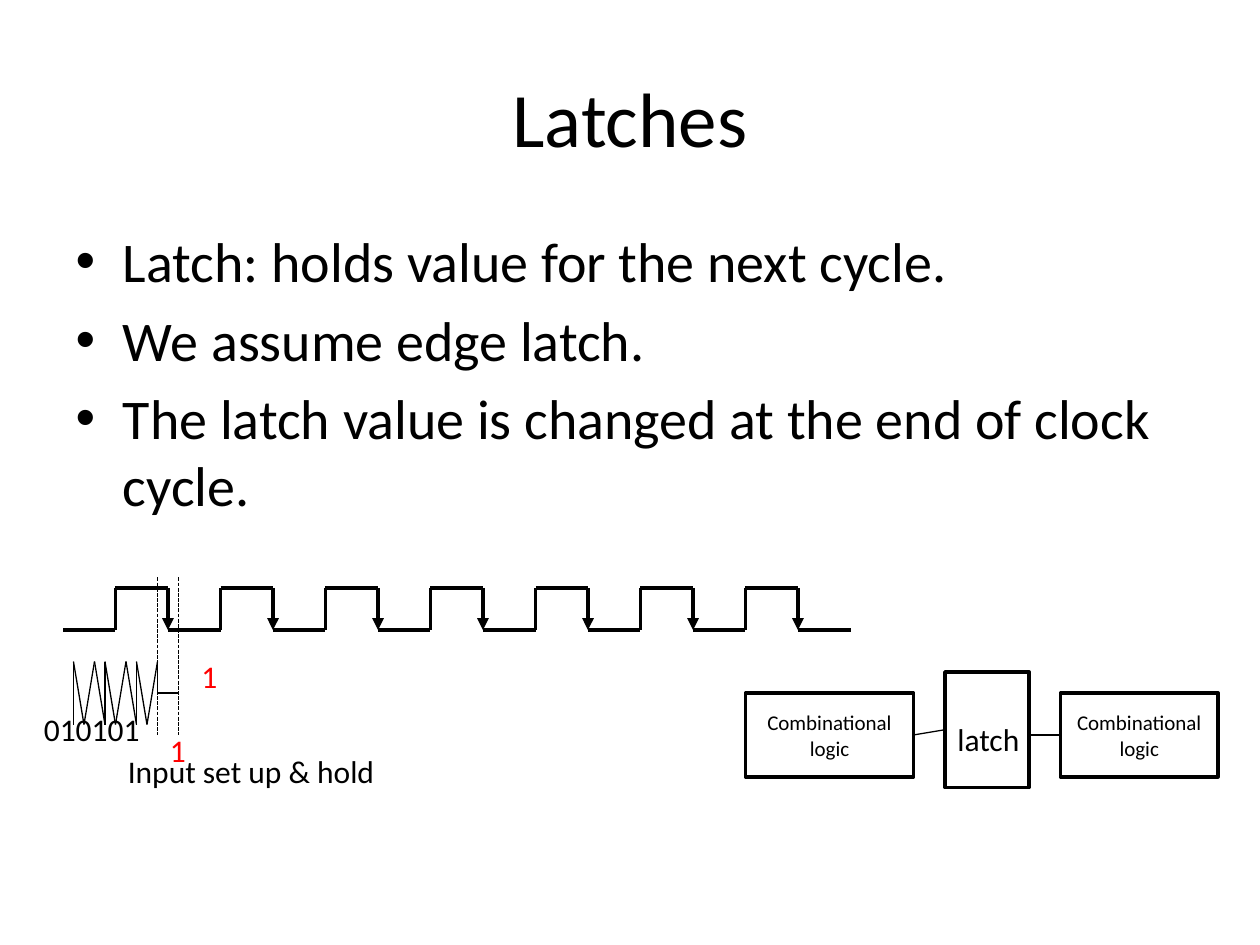
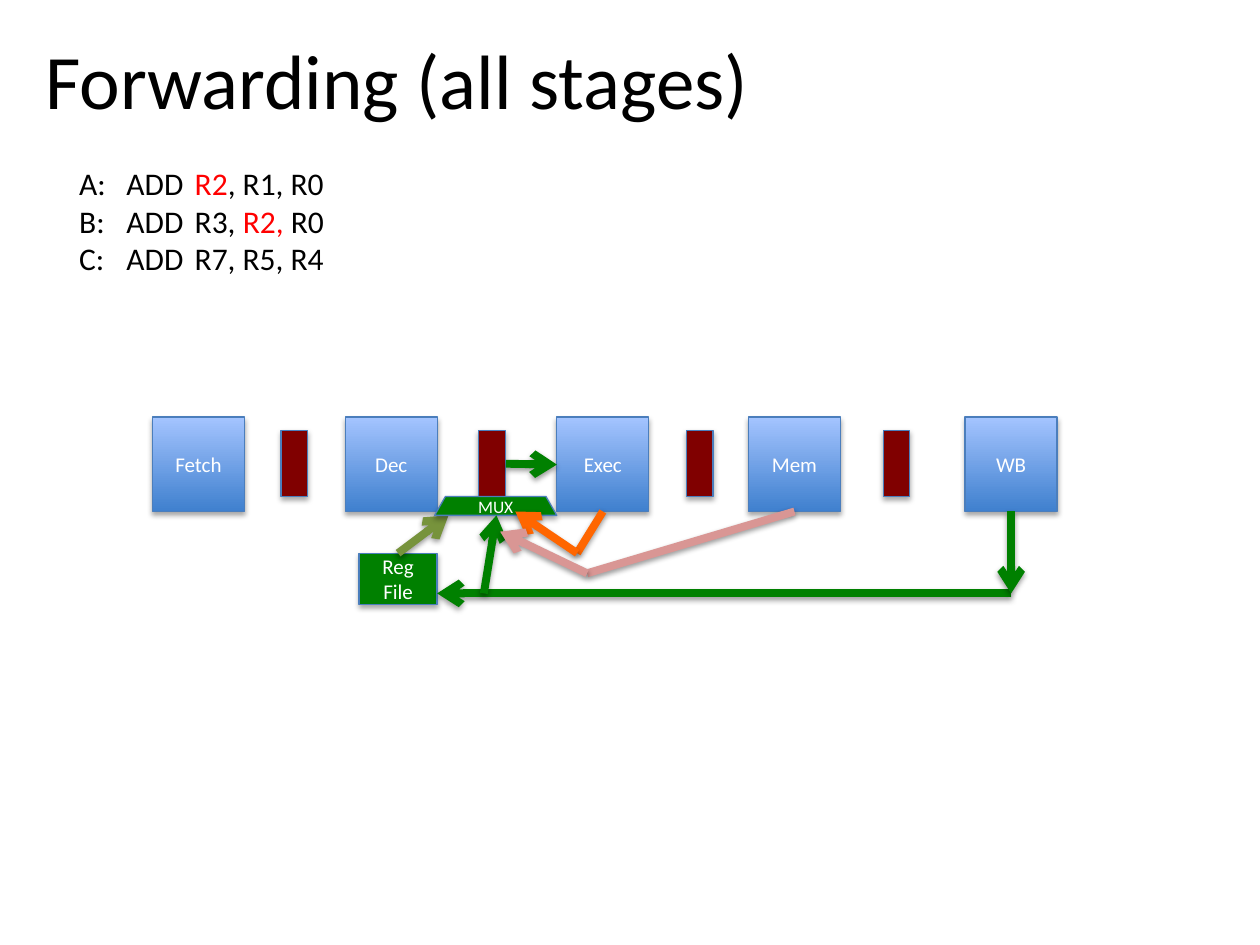
from itertools import pairwise
from pptx import Presentation
from pptx.dml.color import RGBColor
from pptx.enum.dml import MSO_LINE
from pptx.enum.shapes import MSO_CONNECTOR, MSO_SHAPE
from pptx.enum.text import MSO_ANCHOR, MSO_AUTO_SIZE, PP_ALIGN
from pptx.util import Pt
from lxml.etree import SubElement

COLORS = {
    "black": "000000", "white": "FFFFFF", "red": "FF0000",
    "stage_dark": "3F80CE", "stage_light": "A4C4FF", "edge": "4B7EBC",
    "register": "800000", "green": "008000", "olive": "77933C",
    "orange": "FF6600", "pink": "D99694",
}
FONT = "Calibri"
DRAWING = "{http://schemas.openxmlformats.org/drawingml/2006/main}"


def color(name):
    """Return a named colour as RGBColor."""
    return RGBColor.from_string(COLORS[name])


def add_shadow(effects, alpha, distance):
    """Put a soft downward shadow in an effect list; alpha is a percentage."""
    shadow = SubElement(effects, DRAWING + "outerShdw", blurRad=str(Pt(3.1)),
                        dist=str(Pt(distance)), dir="5400000", rotWithShape="0")
    base = SubElement(shadow, DRAWING + "srgbClr", val=COLORS["black"])
    SubElement(base, DRAWING + "alpha", val=str(alpha * 1000))


class Painter:
    """Holds the deck, its style and the current page."""

    def __init__(self):
        """Open a 10 by 7.5 inch deck."""
        self.deck = Presentation()
        self.deck.slide_width, self.deck.slide_height = Pt(720), Pt(540)
        self.page = None

    def new_page(self, layout, title, place, align):
        """Start a page and set its title."""
        self.page = self.deck.slides.add_slide(self.deck.slide_layouts[layout])
        box = self.page.shapes.title
        self.put(box, place)
        box.text_frame.vertical_anchor = MSO_ANCHOR.MIDDLE
        self.add_lines(box.text_frame, [[(title, "black")]], 44, align)

    def put(self, box, place):
        """Move and size a placeholder."""
        box.left, box.top, box.width, box.height = map(Pt, place)

    def add_lines(self, frame, lines, size, align=None):
        """Add lines of text, each a list of (text, colour) runs."""
        for index, line in enumerate(lines):
            para = frame.paragraphs[0] if index == 0 else frame.add_paragraph()
            para.alignment = align
            for text, ink in line:
                span = para.add_run()
                span.text = text
                span.font.name, span.font.size = FONT, Pt(size)
                span.font.color.rgb = color(ink)

    def bullets(self, place, items):
        """Fill the body placeholder with a bulleted list."""
        box = self.page.placeholders[1]
        self.put(box, place)
        self.add_lines(box.text_frame, [[(item, "black")] for item in items], 32)

    def label(self, place, lines, wrap=False, tabs=()):
        """Add an 18 point text box, with tab stops if any."""
        box = self.page.shapes.add_textbox(*map(Pt, place))
        frame = box.text_frame
        frame.word_wrap = wrap
        frame.auto_size = MSO_AUTO_SIZE.SHAPE_TO_FIT_TEXT
        self.add_lines(frame, lines, 18)
        for para in frame.paragraphs if tabs else ():
            stops = SubElement(para._p.get_or_add_pPr(), DRAWING + "tabLst")
            for stop in tabs:
                SubElement(stops, DRAWING + "tab", pos=str(Pt(stop)), algn="l")

    def node(self, place, lines=(), fill=None, edge="black", weight=2, ink="black",
             size=12, kind=MSO_SHAPE.RECTANGLE, shadow=False):
        """Add a shape; a fill of two colours is a gradient from the bottom up."""
        box = self.page.shapes.add_shape(kind, *map(Pt, place))
        if fill is None:
            box.fill.background()
        elif isinstance(fill, tuple):
            box.fill.gradient()
            box.fill.gradient_angle = 90
            for stop, name in zip(box.fill.gradient_stops, fill):
                stop.color.rgb = color(name)
        else:
            box.fill.solid()
            box.fill.fore_color.rgb = color(fill)
        box.line.color.rgb, box.line.width = color(edge), Pt(weight)
        box.shadow.inherit = False
        if shadow:
            add_shadow(box._element.spPr.find(DRAWING + "effectLst"), 35, 1.8)
        box.text_frame.vertical_anchor = MSO_ANCHOR.MIDDLE
        self.add_lines(box.text_frame, [[(line, ink)] for line in lines], size,
                       PP_ALIGN.CENTER)
        return box

    def line(self, start, end, ink="black", weight=0.75, tip=None, dashed=False,
             shadow=False):
        """Draw a straight line, with an arrowhead of type tip at its end."""
        link = self.page.shapes.add_connector(
            MSO_CONNECTOR.STRAIGHT, *map(Pt, (*start, *end)))
        link.line.color.rgb, link.line.width = color(ink), Pt(weight)
        if dashed:
            link.line.dash_style = MSO_LINE.SQUARE_DOT
        properties = link._element.spPr
        if tip:
            SubElement(properties.find(DRAWING + "ln"), DRAWING + "tailEnd", type=tip)
        effects = SubElement(properties, DRAWING + "effectLst")
        if shadow:
            add_shadow(effects, 38, 1.6)

    def route(self, points, ink):
        """Draw a thick forwarding path that ends in an arrow."""
        legs = list(pairwise(points))
        for index, (start, end) in enumerate(legs):
            tip = "arrow" if index == len(legs) - 1 else None
            self.line(start, end, ink, 4.5, tip, shadow=True)


def draw_clock(painter):
    """Draw seven clock cycles with marked falling edges."""
    low, high, half, cycles = 360, 336, 30, 7
    for cycle in range(cycles):
        left = 36 + cycle * 2 * half
        rise, fall = left + half, left + 2 * half
        painter.line((left, low), (rise, low), weight=2.25)
        painter.line((rise, low), (rise, high), weight=2.25)
        painter.line((rise, high), (fall, high), weight=2.25)
        painter.line((fall, high), (fall, low), weight=2.25, tip="triangle")
    painter.line((fall, low), (fall + half, low), weight=2.25)


def draw_input(painter):
    """Draw the changing input signal and its set up and hold window."""
    top, middle, bottom = 378, 396, 414
    for x in (90, 102):
        painter.line((x, 330), (x, 420), dashed=True)
    painter.line((102, middle), (90, middle))
    for left in (42, 60, 78):
        for start, end in ((0, 0), (0, 6), (12, 6)):
            painter.line((left + start, top), (left + end, bottom))
        if left < 78:
            painter.line((left + 12, top), (left + 18, bottom))
    painter.line((90, top), (90, middle))
    painter.label((66, 426, 166, 29), [[("Input set up & hold", "black")]])
    painter.label((18, 402, 75, 29), [[("010101", "black")]])
    for x, y in ((90, 414), (108, 372)):
        painter.label((x, y, 24.5, 29), [[("1", "red")]])


def draw_latch(painter):
    """Draw a latch between two blocks of logic."""
    painter.node((540, 384, 48, 66))
    for left, width in ((426, 96), (606, 90)):
        painter.node((left, 396, width, 48), ["Combinational logic"], "white")
    painter.line((522, 420), (540, 417))
    painter.line((588, 420), (606, 420))
    painter.label((540, 408, 52.5, 29), [[("latch", "black")]])


def draw_pipeline(painter):
    """Draw the pipeline stages, registers and forwarding paths."""
    style = {"edge": "edge", "weight": 0.75, "ink": "white", "shadow": True}
    stages = {"Fetch": 87.1, "Dec": 197.3, "Exec": 318.2, "Mem": 427.7, "WB": 551.5}
    for name, left in stages.items():
        painter.node((left, 238.3, 52.6, 54), [name],
                     ("stage_dark", "stage_light"), **style)
    for left in (160.6, 273.6, 392.4, 504.7):
        painter.node((left, 246.2, 15.1, 37.4), fill="register", **style)
    painter.node((205.2, 316.1, 44.6, 29.5), ["Reg", "File"], "green", **style)

    base = 292.3
    exec_x, mem_x, back_x = (stages[name] + 26.3 for name in ("Exec", "Mem", "WB"))
    painter.route([(227.5, 316.1), (256.3, 294.5)], "olive")
    painter.route([(back_x, 339.1), (249.8, 339.1)], "green")
    painter.route([(289.1, 265), (318.2, 265.5)], "green")
    mux = painter.node((248.4, 283.7, 69.8, 10.8), ["MUX"], "green", size=10,
                       kind=MSO_SHAPE.TRAPEZOID, **style)
    mux.adjustments[0] = 0.57
    painter.route([(276.5, 339.1), (283.7, 294.5)], "green")
    painter.route([(back_x, base), (back_x, 339.1)], "green")
    painter.route([(exec_x, base), (329.8, 316.1), (294.5, base)], "orange")
    painter.route([(mem_x, base), (335.5, 327.6), (285.8, 303.8)], "pink")


def main():
    """Build both pages and save the deck."""
    painter = Painter()
    painter.new_page(1, "Latches", (36, 21.6, 648, 90), PP_ALIGN.CENTER)
    painter.bullets((36, 126, 648, 356.4), [
        "Latch: holds value for the next cycle.",
        "We assume edge latch.",
        "The latch value is changed at the end of clock cycle.",
    ])
    draw_clock(painter)
    draw_input(painter)
    draw_latch(painter)

    painter.new_page(5, "Forwarding (all stages)", (18.7, 0, 684, 90), PP_ALIGN.LEFT)
    painter.label((38.2, 90, 360, 72.7), [
        [("A:\tADD\t", "black"), ("R2", "red"), (", R1, R0", "black")],
        [("B:\tADD\tR3, ", "black"), ("R2, ", "red"), ("R0", "black")],
        [("C:\tADD\tR7, R5, R4", "black")],
    ], wrap=True, tabs=(27, 66))
    draw_pipeline(painter)
    painter.deck.save("out.pptx")


main()
